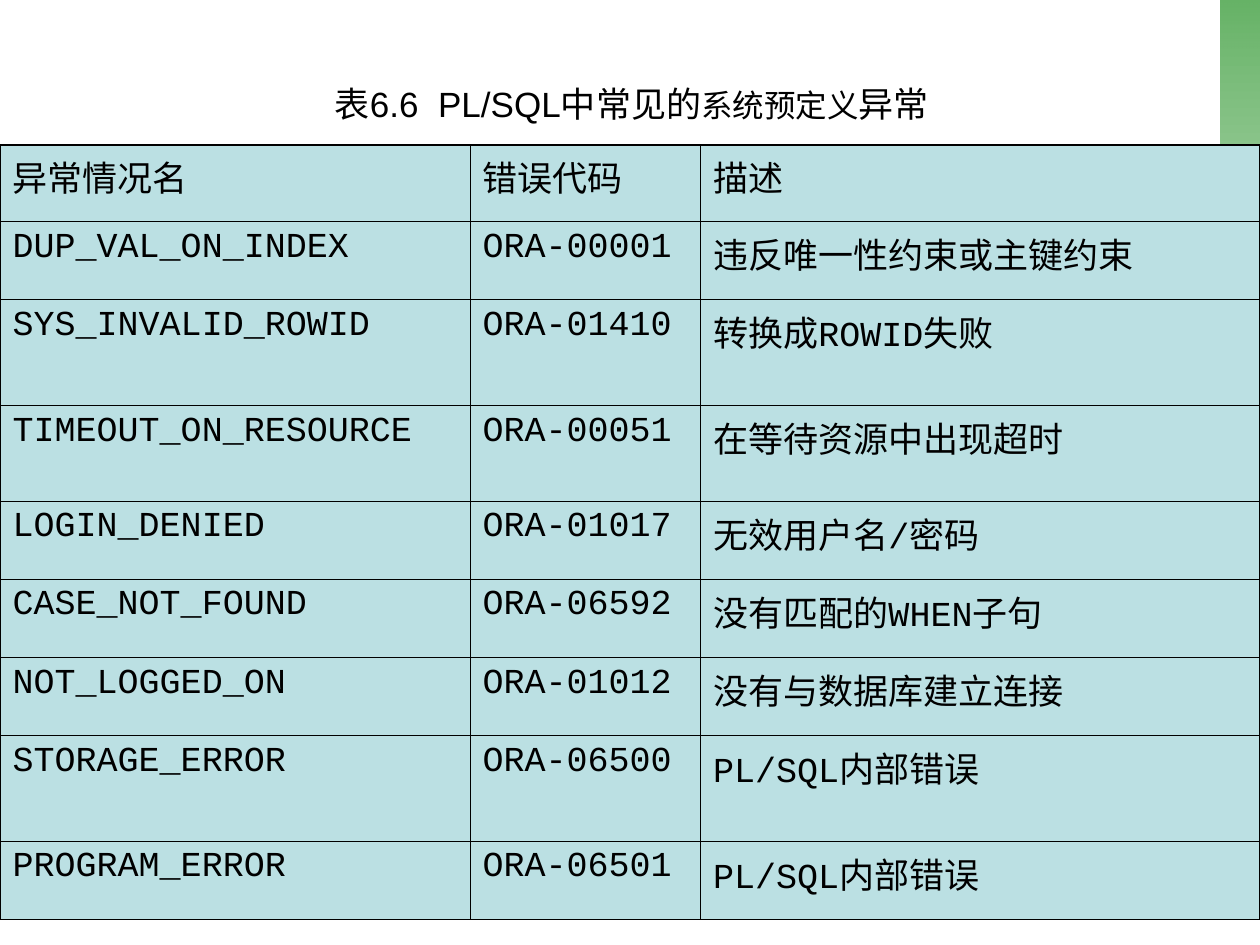
from itertools import groupby

from lxml import etree
from pptx import Presentation
from pptx.dml.color import RGBColor
from pptx.enum.shapes import MSO_SHAPE
from pptx.enum.text import MSO_ANCHOR, MSO_AUTO_SIZE, PP_ALIGN
from pptx.oxml.ns import qn
from pptx.util import Inches, Pt

RECT = MSO_SHAPE.RECTANGLE
MIDDLE = MSO_ANCHOR.MIDDLE
GROW = MSO_AUTO_SIZE.SHAPE_TO_FIT_TEXT
CENTER = PP_ALIGN.CENTER

COLORS = {"text": "000000", "line": "000000", "cell": "BBE0E3",
          "green": "339933", "white": "FFFFFF"}
SANS, MONO, CJK = "Arial", "Courier New", "Noto Sans CJK SC"
THIN, THICK = 0.45, 1.08


def add_run(para, text, font, size=20):
    run = para.add_run()
    run.text = text
    run.font.name = font
    run.font.size = Pt(size)
    run.font.color.rgb = RGBColor.from_string(COLORS["text"])
    etree.SubElement(run.font._element, qn("a:ea"), typeface=CJK)


def add_border(cell, side, width):
    line = etree.SubElement(cell._tc.get_or_add_tcPr(), qn(f"a:ln{side}"), w=str(Pt(width)))
    fill = etree.SubElement(line, qn("a:solidFill"))
    etree.SubElement(fill, qn("a:srgbClr"), val=COLORS["line"])


prs = Presentation()
prs.slide_width, prs.slide_height = Inches(10), Inches(7.5)
slide = prs.slides.add_slide(prs.slide_layouts[5])

# Green band fading down the right edge
band = slide.shapes.add_shape(RECT, Inches(9.69), 0, Inches(0.31), Inches(6.77))
band.shadow.inherit = False
band.line.fill.background()
band.fill.gradient()
band.fill.gradient_angle = 270
for stop, name, alpha in zip(band.fill.gradient_stops, ("green", "white"), (75, 37)):
    stop.color.rgb = RGBColor.from_string(COLORS[name])
for color, alpha in zip(band._element.spPr.iter(qn("a:srgbClr")), (75, 37)):
    etree.SubElement(color, qn("a:alpha"), val=str(alpha * 1000))

# Title
title = slide.shapes.title
title.left, title.top = Inches(2.49), Inches(0.6)
title.width, title.height = Inches(5.05), Inches(0.44)
frame = title.text_frame
frame.word_wrap = False
frame.auto_size = GROW
frame.vertical_anchor = MIDDLE
para = frame.paragraphs[0]
para.alignment = CENTER
for text, size in (("表6.6  PL/SQL中常见的", 20), ("系统预定义", 18), ("异常", 20)):
    add_run(para, text, SANS, size)

# Table of exceptions
rows = [
    ("异常情况名", "错误代码", "描述"),
    ("DUP_VAL_ON_INDEX", "ORA-00001", "违反唯一性约束或主键约束"),
    ("SYS_INVALID_ROWID", "ORA-01410", "转换成ROWID失败"),
    ("TIMEOUT_ON_RESOURCE", "ORA-00051", "在等待资源中出现超时"),
    ("LOGIN_DENIED", "ORA-01017", "无效用户名/密码"),
    ("CASE_NOT_FOUND", "ORA-06592", "没有匹配的WHEN子句"),
    ("NOT_LOGGED_ON", "ORA-01012", "没有与数据库建立连接"),
    ("STORAGE_ERROR", "ORA-06500", "PL/SQL内部错误"),
    ("PROGRAM_ERROR", "ORA-06501", "PL/SQL内部错误"),
]
widths = (3.73, 1.83, 4.44)
heights = (0.61, 0.62, 0.84, 0.76, 0.62, 0.62, 0.62, 0.84, 0.62)
table = slide.shapes.add_table(len(rows), len(widths), 0, Inches(1.15),
                               Inches(10), Inches(6.14)).table
table.first_row = table.horz_banding = False
for col, width in zip(table.columns, widths):
    col.width = Inches(width)
for row, height in zip(table.rows, heights):
    row.height = Inches(height)

for r, texts in enumerate(rows):
    for c, text in enumerate(texts):
        cell = table.cell(r, c)
        outer = {"L": c == 0, "R": c == len(widths) - 1,
                 "T": r == 0, "B": r == len(rows) - 1}
        for side, edge in outer.items():
            add_border(cell, side, THICK if edge else THIN)
        cell.fill.solid()
        cell.fill.fore_color.rgb = RGBColor.from_string(COLORS["cell"])
        para = cell.text_frame.paragraphs[0]
        for latin, part in groupby(text, str.isascii):
            font = SANS if r == 0 else MONO if latin else CJK
            add_run(para, "".join(part), font)

prs.save("out.pptx")
